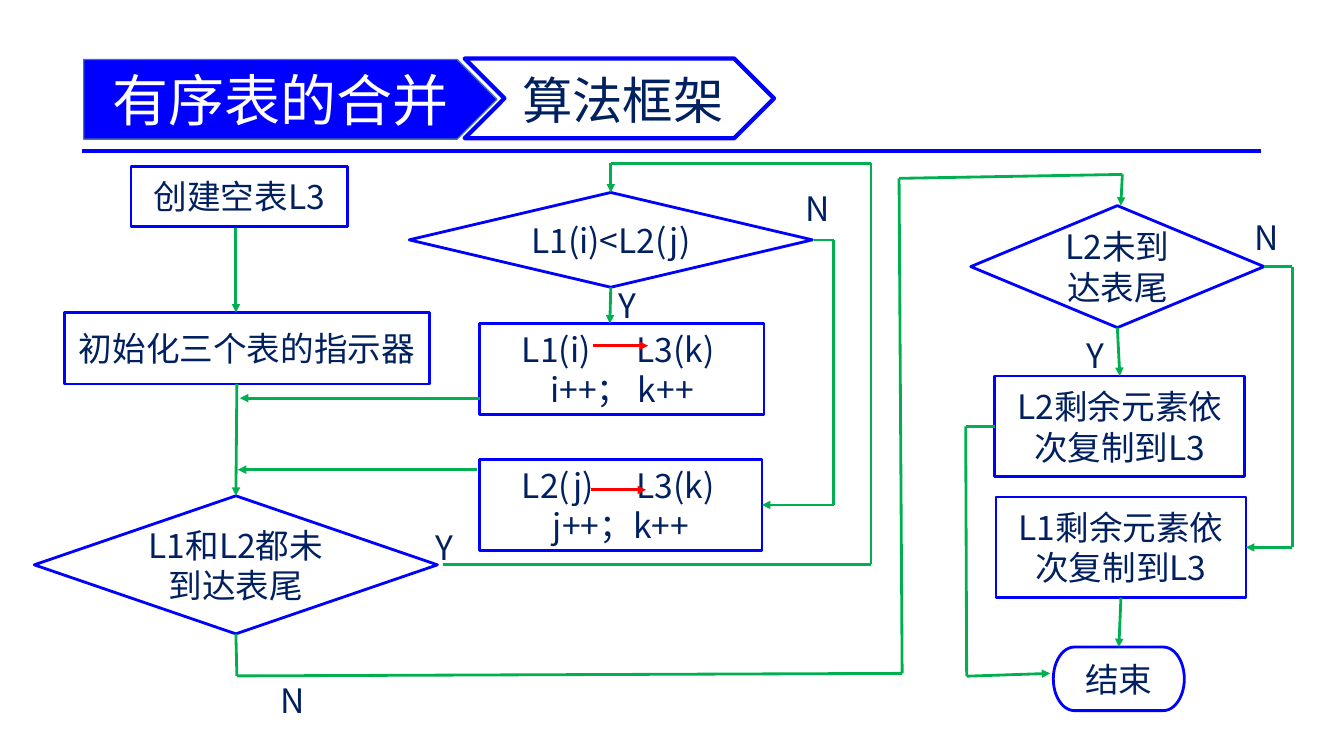
"""Build the flowchart slide on merging two ordered lists."""
import pptx
import pptx.dml.color
import pptx.enum.shapes
import pptx.enum.text
import pptx.oxml
import pptx.oxml.ns
import pptx.util

Pt = pptx.util.Pt
qn = pptx.oxml.ns.qn
MSO_SHAPE = pptx.enum.shapes.MSO_SHAPE
ALIGN = pptx.enum.text.PP_ALIGN
MIDDLE = pptx.enum.text.MSO_ANCHOR.MIDDLE

FONT = "Noto Sans CJK SC"
COLORS = {"blue": "0000FF", "plate edge": "43739E", "navy": "002060",
          "green": "00B050", "red": "FF0000", "white": "FFFFFF"}
TOP, LEFT, BOTTOM, RIGHT = range(4)
STEP = MSO_SHAPE.FLOWCHART_PROCESS
DECISION = MSO_SHAPE.FLOWCHART_DECISION
TERMINATOR = MSO_SHAPE.FLOWCHART_TERMINATOR

TITLE = "有序表的合并"
HEADING = "算法框架"
PLATE_BOX = (59.8, 42.5, 295.2, 56.9)
TITLE_BOX = (59.8, 42.5, 281, 56.9)
CHEVRON_BOX = (331.9, 41.8, 221, 56.9)
HEADING_BOX = (230.4, 34.6, 429.1, 77.8)
RULE = [(58.3, 108), (900.7, 108)]

NODES = {
    "create": (STEP, (93.6, 118.8, 154.8, 43.2), ["创建空表L3"]),
    "init": (STEP, (46.1, 223.2, 260.6, 51.1), ["初始化三个表的指示器"]),
    "both left": (DECISION, (24.5, 354.2, 288, 98.6), ["L1和L2都未到达表尾"]),
    "compare": (DECISION, (292.3, 137.5, 288, 67.7), ["L1(i)<L2(j)"]),
    "take L1": (STEP, (342.7, 231.1, 203, 64.8), ["\tL1(i)\tL3(k)", "i++； k++"]),
    "take L2": (STEP, (342.7, 328.3, 201.6, 64.8), ["\tL2(j)\tL3(k)", "j++；k++"]),
    "L2 left": (DECISION, (693.4, 146.9, 209.5, 87.1), ["L2未到达表尾"]),
    "copy L2": (STEP, (710.6, 268.6, 178.6, 72), ["L2剩余元素依次复制到L3"]),
    "copy L1": (STEP, (711.4, 355, 178.6, 72), ["L1剩余元素依次复制到L3"]),
    "end": (TERMINATOR, (752.4, 462.2, 93.6, 45.4), ["结束"]),
}
TAB_STOPS = (23, 105)

FLOWS = [
    [(168.5, 162.7), (168.5, 223.2)],
    [(169.2, 274.3), ("both left", TOP)],
    [("compare", BOTTOM), (435.6, 231.1)],
    [(342.7, 284.4), (171.4, 284.4)],
    [(340.6, 335.5), (169.9, 335.5)],
    [(316.1, 403.2), (622.1, 403.2), (622.1, 116.6), (436.3, 116.6), ("compare", TOP)],
    [(581.8, 171.4), (595.4, 171.4), (595.4, 360.7), ("take L2", RIGHT)],
    [("both left", BOTTOM), (169.2, 482.8), (644.4, 481), (642.2, 127.4),
     (801.7, 124.6), (800.6, 146.9)],
    [("L2 left", RIGHT), (923, 190.4), (923, 391), ("copy L1", RIGHT)],
    [("L2 left", BOTTOM), ("copy L2", TOP)],
    [("copy L1", BOTTOM), ("end", TOP)],
    [("copy L2", LEFT), (689.8, 304.6), (690.5, 483), (750.2, 481)],
]
ASSIGNMENTS = [[(423.4, 247), (463, 247)], [(421.9, 349.9), (461.5, 349.9)]]

BRANCHES = [("Y", 769, 235.4), ("N", 193, 482.4), ("Y", 303.8, 373),
            ("N", 568.1, 131), ("N", 889.2, 151.2), ("Y", 434.9, 200.2)]
BRANCH_SIZE = (47.5, 36)


def rgb(name):
    """Return the named colour."""
    return pptx.dml.color.RGBColor.from_string(COLORS[name])


def write(holder, lines, size=24, color="navy", align=ALIGN.CENTER):
    """Fill a shape with uniformly formatted paragraphs."""
    frame = holder.text_frame
    frame.word_wrap = True
    frame.text = "\n".join(lines)
    for line in frame.paragraphs:
        line.alignment = ALIGN.LEFT if "\t" in line.text else align
        line.font.name = FONT
        line.font.size = Pt(size)
        line.font.bold = False
        line.font.color.rgb = rgb(color)
    for defaults in list(holder.element.iter(qn("a:defRPr"))):
        east_asian = pptx.oxml.parse_xml(
            f'<a:ea {pptx.oxml.ns.nsdecls("a")} typeface="{FONT}"/>')
        defaults.append(east_asian)
    for line, properties in zip(frame.paragraphs, holder.element.iter(qn("a:pPr"))):
        if "\t" in line.text:
            stops = "".join(f'<a:tab pos="{Pt(x)}" algn="l"/>' for x in TAB_STOPS)
            properties.insert(0, pptx.oxml.parse_xml(
                f'<a:tabLst {pptx.oxml.ns.nsdecls("a")}>{stops}</a:tabLst>'))


def add_outline(slide, kind, box, fill="white", edge="blue", width=2):
    """Add a filled and outlined preset shape."""
    outline = slide.shapes.add_shape(kind, *map(Pt, box))
    outline.shadow.inherit = False
    outline.fill.solid()
    outline.fill.fore_color.rgb = rgb(fill)
    outline.line.color.rgb = rgb(edge)
    outline.line.width = Pt(width)
    return outline


def add_route(slide, stops, nodes, color="green", width=2, arrow=True):
    """Draw straight connectors through the stops, arrow on the last."""
    for index, (start, end) in enumerate(zip(stops, stops[1:]), 1):
        ends = [(0, 0) if stop[0] in nodes else stop for stop in (start, end)]
        leg = slide.shapes.add_connector(
            pptx.enum.shapes.MSO_CONNECTOR.STRAIGHT, *(Pt(v) for xy in ends for v in xy))
        for stop, join in ((start, leg.begin_connect), (end, leg.end_connect)):
            if stop[0] in nodes:
                join(nodes[stop[0]], stop[1])
        leg.line.color.rgb = rgb(color)
        leg.line.width = Pt(width)
        if arrow and index == len(stops) - 1:
            line = leg.element.spPr.find(qn("a:ln"))
            line.append(pptx.oxml.parse_xml(
                f'<a:tailEnd {pptx.oxml.ns.nsdecls("a")} type="triangle"/>'))
        leg.element.spPr.append(pptx.oxml.parse_xml(
            f'<a:effectLst {pptx.oxml.ns.nsdecls("a")}/>'))


def add_header(slide):
    """Add the title plate, the heading chevron and the rule."""
    add_route(slide, RULE, {}, "blue", 3, arrow=False)
    add_outline(slide, MSO_SHAPE.CHEVRON, CHEVRON_BOX, width=3)
    heading = slide.shapes.add_textbox(*map(Pt, HEADING_BOX))
    write(heading, [HEADING], 36)
    heading.text_frame.vertical_anchor = MIDDLE
    heading.text_frame.paragraphs[0].line_spacing = 0.9
    plate = add_outline(slide, MSO_SHAPE.PENTAGON, PLATE_BOX, "blue", "plate edge", 1)
    title = slide.shapes.title
    title.left, title.top, title.width, title.height = map(Pt, TITLE_BOX)
    write(title, [TITLE], 40, "white")
    title.text_frame.auto_size = pptx.enum.text.MSO_AUTO_SIZE.NONE
    title.text_frame.vertical_anchor = MIDDLE
    plate.element.addnext(title.element)


def main():
    """Assemble and save the slide."""
    deck = pptx.Presentation()
    deck.slide_width, deck.slide_height = Pt(960), Pt(540)
    slide = deck.slides.add_slide(deck.slide_layouts[5])
    add_header(slide)
    nodes = {}
    for name, (kind, box, lines) in NODES.items():
        nodes[name] = add_outline(slide, kind, box)
        write(nodes[name], lines)
        nodes[name].text_frame.vertical_anchor = MIDDLE
    for stops in FLOWS:
        add_route(slide, stops, nodes)
    for stops in ASSIGNMENTS:
        add_route(slide, stops, nodes, "red")
    for answer, left, top in BRANCHES:
        branch = slide.shapes.add_textbox(*map(Pt, (left, top, *BRANCH_SIZE)))
        write(branch, [answer], align=ALIGN.LEFT)
    deck.save("out.pptx")


if __name__ == "__main__":
    main()
